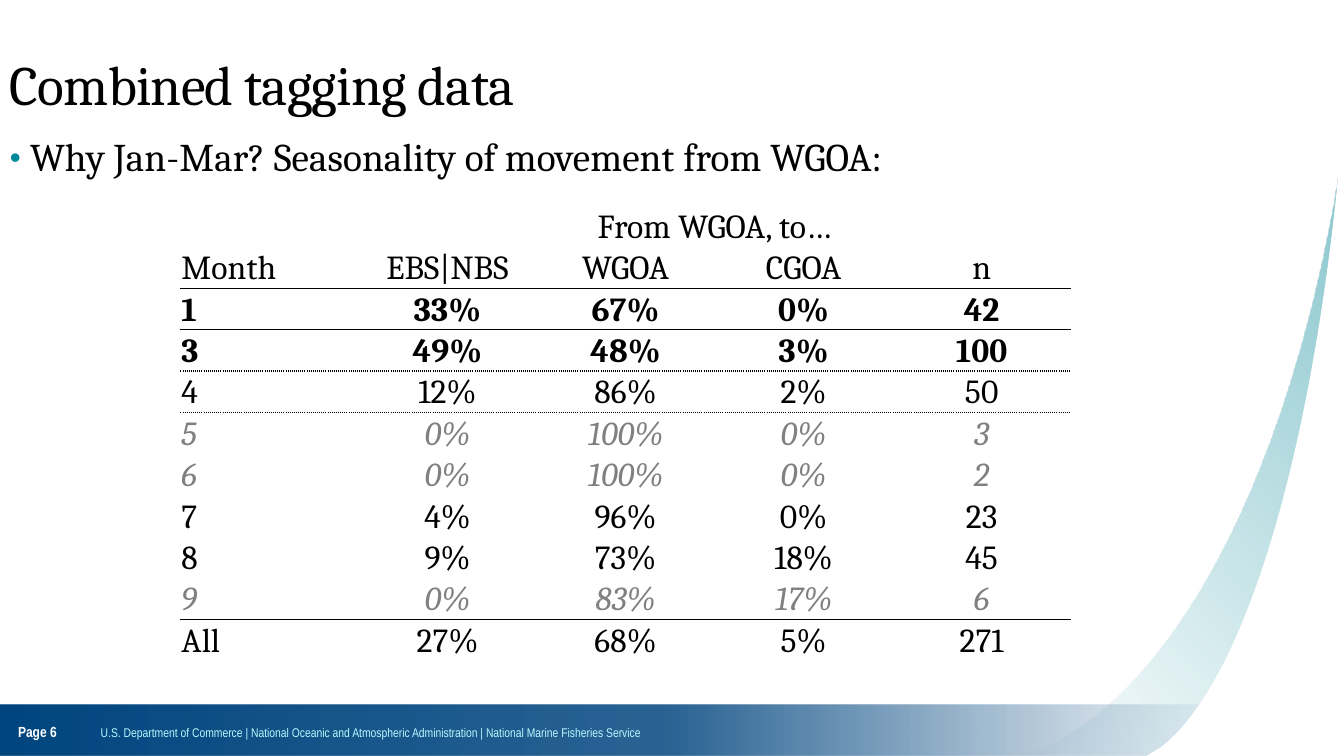
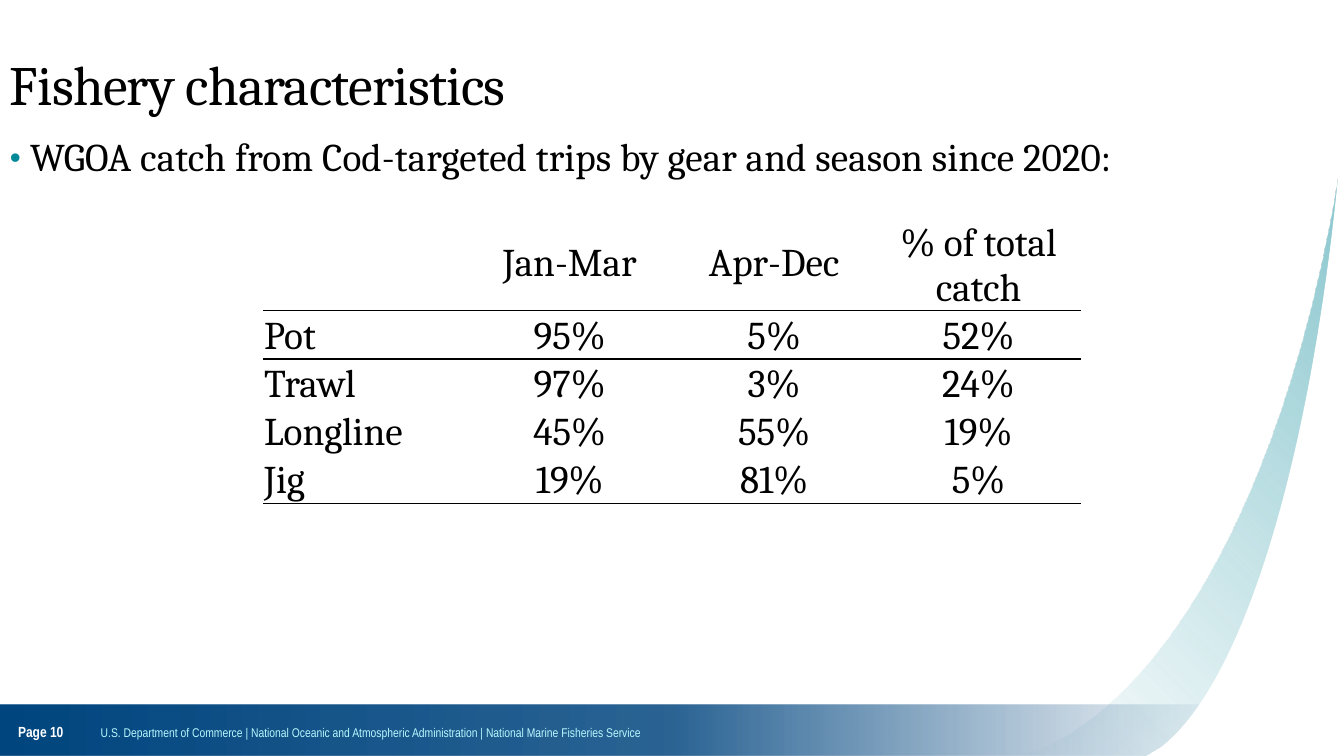
from lxml.etree import SubElement
from pptx import Presentation
from pptx.dml.color import RGBColor
from pptx.enum.shapes import MSO_SHAPE
from pptx.enum.text import MSO_ANCHOR, PP_ALIGN
from pptx.oxml import parse_xml
from pptx.oxml.ns import nsdecls, qn
from pptx.util import Inches, Pt

WIDE, HIGH = Inches(13.33), Inches(7.5)
BLACK = RGBColor(0x00, 0x00, 0x00)
WHITE = RGBColor(0xFF, 0xFF, 0xFF)
GREY = RGBColor(0x80, 0x80, 0x80)
NAVY = RGBColor(0x00, 0x46, 0x7F)
TEAL = RGBColor(0x84, 0xC4, 0xCC)
CYAN = RGBColor(0xB7, 0xF8, 0xFF)
BULLET = RGBColor(0x00, 0x89, 0x98)
SERIF, NARROW = "Cambria", "Arial Narrow"
NO_STYLE = "{2D5ABB26-0587-4C30-8999-92F81FD0307C}"
AGENCY = ("U.S. Department of Commerce | National Oceanic and Atmospheric "
          "Administration | National Marine Fisheries Service")

# Outlines in percent of the slide: tip, then the curve from base to tip.
SWOOSH = (100, 16.27), 75.7, [(77.65, 98.8), (87.92, 90.4), (96.25, 60.53), (99.7, 21.33)]
CUTOUT = (100, 14.53), 85.3, [(86.42, 98.8), (92.65, 90.13), (97.75, 59.6), (99.77, 19.6)]

TAGS = [
    ["", "From WGOA, to…", "", "", ""],
    ["Month", "EBS|NBS", "WGOA", "CGOA", "n"],
    ["1", "33%", "67%", "0%", "42"],
    ["3", "49%", "48%", "3%", "100"],
    ["4", "12%", "86%", "2%", "50"],
    ["5", "0%", "100%", "0%", "3"],
    ["6", "0%", "100%", "0%", "2"],
    ["7", "4%", "96%", "0%", "23"],
    ["8", "9%", "73%", "18%", "45"],
    ["9", "0%", "83%", "17%", "6"],
    ["All", "27%", "68%", "5%", "271"],
]
GEAR = [
    ["", "Jan-Mar", "Apr-Dec", "% of total catch"],
    ["Pot", "95%", "5%", "52%"],
    ["Trawl", "97%", "3%", "24%"],
    ["Longline", "45%", "55%", "19%"],
    ["Jig", "19%", "81%", "5%"],
]


def grid(*box):
    """Turn percent of the slide (x, y, x, y, ...) into lengths."""
    return [int(v * (HIGH if i % 2 else WIDE) / 100) for i, v in enumerate(box)]


def style(para, size, color=BLACK, face=SERIF, bold=False, italic=False, gap=0):
    font = para.font
    font.name, font.size, font.bold, font.italic = face, Pt(size), bold, italic
    font.color.rgb = color
    if gap:
        font._element.set("spc", str(gap))


def add_text(slide, box, text, anchor=MSO_ANCHOR.MIDDLE, inset=0.1):
    frame = slide.shapes.add_textbox(*grid(*box)).text_frame
    frame.word_wrap, frame.vertical_anchor = True, anchor
    frame.margin_left = frame.margin_right = Inches(inset)
    para = frame.paragraphs[0]
    para.text = text
    return para


def fade(shape, color, angle, stops):
    """Fill with one colour whose opacity changes; stops are (place, alpha)."""
    marks = "".join(
        f'<a:gs pos="{place * 1000}"><a:srgbClr val="{color}">'
        f'<a:alpha val="{alpha * 1000}"/></a:srgbClr></a:gs>' for place, alpha in stops)
    shape.fill.background()
    blank = shape.element.spPr.find(qn("a:noFill"))
    blank.getparent().replace(blank, parse_xml(
        f'<a:gradFill {nsdecls("a")} rotWithShape="1"><a:gsLst>{marks}</a:gsLst>'
        f'<a:lin ang="{angle * 60000}" scaled="0"/></a:gradFill>'))


def plain(shape):
    shape.shadow.inherit = False
    shape.line.fill.background()
    return shape


def add_wedge(slide, tip, base, curve, steps=40):
    dots = [(100, 100), (base, 100)]
    for i in range(steps + 1):
        t = i / steps
        parts = ((1 - t) ** 3, 3 * t * (1 - t) ** 2, 3 * t * t * (1 - t), t ** 3)
        dots.append([sum(p * dot[axis] for p, dot in zip(parts, curve)) for axis in (0, 1)])
    build = slide.shapes.build_freeform(*grid(*tip))
    build.add_line_segments([grid(*dot) for dot in dots], close=True)
    return plain(build.convert_to_shape())


def add_frame(slide, page):
    """Draw the swoosh, the footer band and its texts."""
    fade(add_wedge(slide, *SWOOSH), TEAL, 315, [(0, 0), (99, 100)])
    band = slide.shapes.add_shape(MSO_SHAPE.RECTANGLE, *grid(0, 93.2, 91.45, 6.8))
    fade(plain(band), NAVY, 180, [(0, 0), (45, 83), (100, 100)])
    style(add_text(slide, (7.5, 92.93, 73.3, 7.87), AGENCY, inset=0), 9, CYAN, NARROW)
    style(add_text(slide, (1.35, 92.67, 6.15, 8.13), f"Page {page}", inset=0),
          10.5, WHITE, NARROW, bold=True)
    cut = add_wedge(slide, *CUTOUT)
    cut.fill.solid()
    cut.fill.fore_color.rgb = WHITE


def add_heads(slide, title, point):
    head = add_text(slide, (0, 6.67, 90, 9.87), title)
    head.line_spacing = 0.9
    style(head, 39.6, gap=-50)
    para = add_text(slide, (0, 17.33, 96.7, 66), point, MSO_ANCHOR.TOP)
    para.line_spacing, para.space_after = 0.95, Pt(2)
    props = para._p.get_or_add_pPr()
    props.set("marL", str(Inches(0.2)))
    props.set("indent", str(-Inches(0.2)))
    SubElement(SubElement(props, qn("a:buClr")), qn("a:srgbClr")).set("val", str(BULLET))
    SubElement(props, qn("a:buSzPct")).set("val", "80000")
    SubElement(props, qn("a:buFont")).set("typeface", "Arial")
    SubElement(props, qn("a:buChar")).set("char", "•")
    style(para, 28, gap=10)


def add_rule(cell, side, dash):
    line = SubElement(cell._tc.get_or_add_tcPr(), qn(f"a:{side}"))
    line.set("w", str(Pt(1)))
    fill = SubElement(line, qn("a:solidFill"))
    SubElement(fill, qn("a:srgbClr")).set("val", str(BLACK))
    SubElement(line, qn("a:prstDash")).set("val", dash)


def add_grid(slide, box, data, size, rules, looks=None, gap=0, tall=None):
    """Place a table; rules maps a row to the dash below it, looks to its font."""
    left, top, width, row = grid(*box)
    shape = slide.shapes.add_table(len(data), len(data[0]), left, top, width, row * len(data))
    for mark in shape.element.iter(qn("a:tableStyleId")):
        mark.text = NO_STYLE
    table = shape.table
    table.first_row = table.horz_banding = False
    if tall:
        table.rows[0].height = int(HIGH * tall / 100)
    for r, texts in enumerate(data):
        for c, text in enumerate(texts):
            cell = table.cell(r, c)
            cell.margin_left = cell.margin_right = cell.margin_top = Inches(0.01)
            cell.margin_bottom = 0
            middle = tall and r == 0 and c < len(texts) - 1
            cell.vertical_anchor = MSO_ANCHOR.MIDDLE if middle else MSO_ANCHOR.BOTTOM
            for side, edge in (("lnT", r - 1), ("lnB", r)):
                if edge in rules:
                    add_rule(cell, side, rules[edge])
            cell.fill.background()
            para = cell.text_frame.paragraphs[0]
            para.text = text
            para.alignment = PP_ALIGN.CENTER if c else PP_ALIGN.LEFT
            style(para, size, gap=gap, **(looks or {}).get(r, {}))
    return table


def tag_slide(slide):
    add_frame(slide, 6)
    add_heads(slide, "Combined tagging data",
              "Why Jan-Mar? Seasonality of movement from WGOA:")
    strong, faint = {"bold": True}, {"color": GREY, "italic": True}
    looks = {2: strong, 3: strong, 5: faint, 6: faint, 9: faint}
    table = add_grid(slide, (13.43, 27.2, 66.24, 5.2), TAGS, 24,
                     {1: "solid", 3: "sysDot", 9: "solid"}, looks, gap=10)
    table.cell(0, 1).merge(table.cell(0, 4))


def gear_slide(slide):
    add_frame(slide, 10)
    add_heads(slide, "Fishery characteristics",
              "WGOA catch from Cod-targeted trips by gear and season since 2020:")
    add_grid(slide, (19.58, 28.53, 60.84, 6), GEAR, 28,
             {0: "solid", 4: "solid"}, tall=12)


def main():
    deck = Presentation()
    deck.slide_width, deck.slide_height = WIDE, HIGH
    for draw in (tag_slide, gear_slide):
        draw(deck.slides.add_slide(deck.slide_layouts[6]))
    deck.save("out.pptx")


if __name__ == "__main__":
    main()
